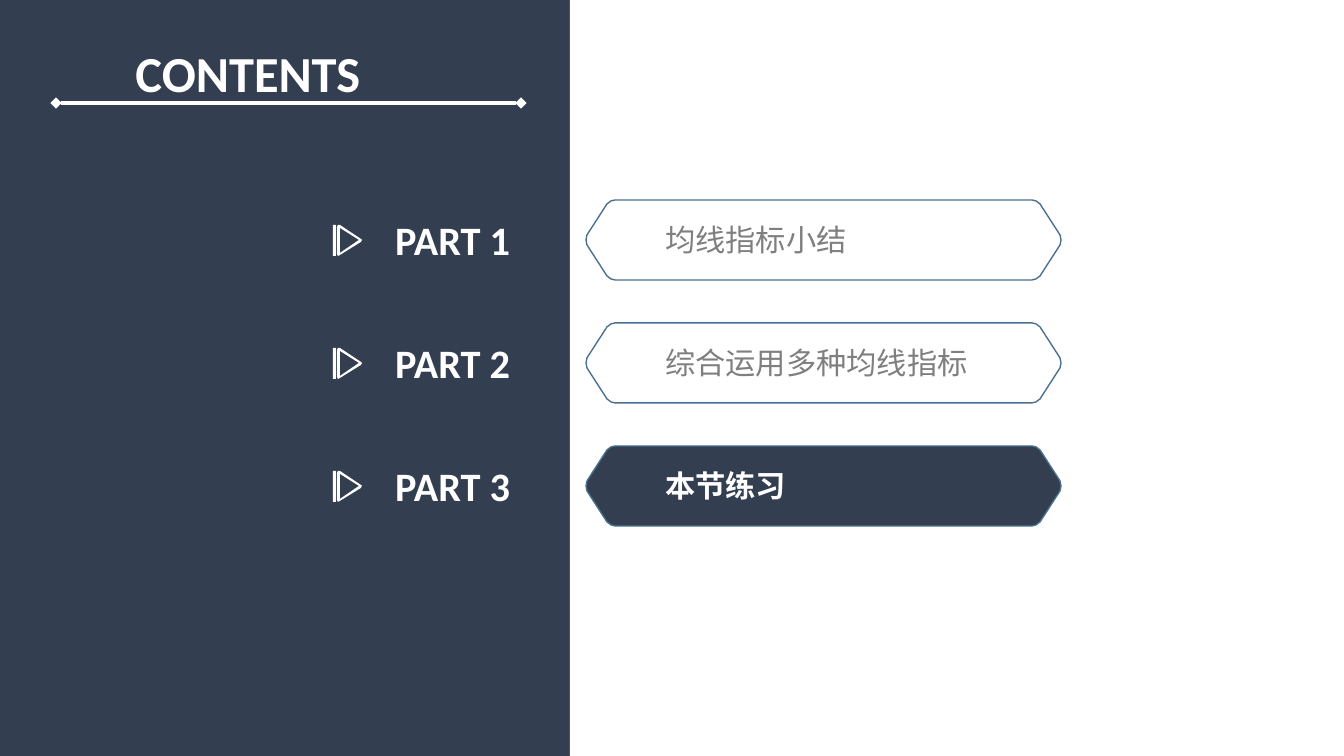
from dataclasses import dataclass

from pptx import Presentation
from pptx.dml.color import RGBColor
from pptx.enum.shapes import MSO_CONNECTOR, MSO_SHAPE
from pptx.enum.text import MSO_ANCHOR, MSO_AUTO_SIZE, PP_ALIGN
from pptx.oxml.ns import qn
from pptx.util import Emu, Inches, Pt
from lxml.etree import SubElement

PX = Inches(1) / 134.4


@dataclass(frozen=True)
class Theme:
    navy: str = "333F50"
    white: str = "FFFFFF"
    outline: str = "4A7090"
    grey: str = "7F7F7F"
    latin: str = "Calibri"
    cjk: str = "Noto Sans CJK SC"
    title_size: float = 27
    part_size: float = 21.6
    label_size: float = 16.2


THEME = Theme()
ROW_TOP, ROW_PITCH = 200, 123
BADGE_LEFT, BADGE_WIDTH, BADGE_HEIGHT = 586, 475, 80
PARTS = [("PART 1", "均线指标小结"), ("PART 2", "综合运用多种均线指标"), ("PART 3", "本节练习")]
CURRENT = 2


def px(n):
    return Emu(round(n * PX))


def rgb(color):
    return RGBColor.from_string(color)


def place(sp, x, y, w, h):
    sp.left, sp.top, sp.width, sp.height = px(x), px(y), px(w), px(h)


def write(sp, text, *, size, color, font=THEME.latin, bold=False, wrap=True):
    tf = sp.text_frame
    tf.word_wrap = wrap
    tf.auto_size = MSO_AUTO_SIZE.SHAPE_TO_FIT_TEXT
    tf.vertical_anchor = MSO_ANCHOR.TOP
    p = tf.paragraphs[0]
    p.alignment = PP_ALIGN.LEFT
    r = p.add_run()
    r.text = text
    r.font.size, r.font.bold, r.font.name = Pt(size), bold, font
    r.font.color.rgb = rgb(color)
    SubElement(r.font._element, qn("a:ea"), typeface=font)


def add_text(s, text, x, y, w, h, **fmt):
    write(s.shapes.add_textbox(px(x), px(y), px(w), px(h)), text, **fmt)


def paint(sp, fill=None, line=None):
    sp.shadow.inherit = False
    if fill:
        sp.fill.solid()
        sp.fill.fore_color.rgb = rgb(fill)
    else:
        sp.fill.background()
    if line:
        sp.line.color.rgb = rgb(line)
        sp.line.width = Pt(0.75)
    else:
        sp.line.fill.background()


def add_outline(s, contours, x, y, **colors):
    start, *rest = contours[0]
    fb = s.shapes.build_freeform(*start, scale=PX)
    fb.add_line_segments(rest, close=True)
    for start, *rest in contours[1:]:
        fb.move_to(*start)
        fb.add_line_segments(rest, close=True)
    paint(fb.convert_to_shape(px(x), px(y)), **colors)


def add_badge(s, y, fill):
    corner = [(29, 0), (25, 1), (21, 4), (1, 35), (0, 40)]
    left = corner + [(x, BADGE_HEIGHT - y) for x, y in corner[-2::-1]]
    right = [(BADGE_WIDTH - x, y) for x, y in reversed(left)]
    add_outline(s, [left + right], BADGE_LEFT, y, fill=fill, line=THEME.outline)


def add_play_icon(s, x, y):
    bar = [(0, 0), (3, 0), (3, 31), (0, 31)]
    triangle = [(5, 0), (7, 0), (28, 14), (29, 15), (28, 17), (7, 30), (5, 31), (4, 29), (4, 2)]
    hole = [(26, 15), (7, 3), (7, 28)]
    add_outline(s, [bar, triangle, hole], x, y, fill=THEME.white)


def add_diamond_line(s, x1, x2, y):
    line = s.shapes.add_connector(MSO_CONNECTOR.STRAIGHT, px(x1), px(y), px(x2), px(y))
    line.line.color.rgb = rgb(THEME.white)
    line.line.width = Pt(2)
    ln = line.line._get_or_add_ln()
    for end in ("a:headEnd", "a:tailEnd"):
        SubElement(ln, qn(end), type="diamond")
    SubElement(line._element.spPr, qn("a:effectLst"))


def add_row(s, y, part, label, current):
    add_badge(s, y, THEME.navy if current else None)
    add_play_icon(s, 333, y + 25)
    add_text(s, part, 382, y + 9, 204, 62, size=THEME.part_size, color=THEME.white, bold=True)
    add_text(s, label, 652, y + 15, 333, 50, size=THEME.label_size, font=THEME.cjk,
             color=THEME.white if current else THEME.grey, bold=current, wrap=current)


def main():
    prs = Presentation()
    prs.slide_width, prs.slide_height = px(1344), px(756)
    s = prs.slides.add_slide(prs.slide_layouts[5])
    s.background.fill.solid()
    s.background.fill.fore_color.rgb = rgb(THEME.navy)

    panel = s.shapes.add_shape(MSO_SHAPE.RECTANGLE, px(570), px(0), px(774), px(756))
    paint(panel, fill=THEME.white)

    title = s.shapes.title
    place(title, 122, 35, 496, 75)
    write(title, "CONTENTS", size=THEME.title_size, color=THEME.white, bold=True)
    add_diamond_line(s, 56, 521, 103)

    for i, (part, label) in enumerate(PARTS):
        add_row(s, ROW_TOP + i * ROW_PITCH, part, label, i == CURRENT)

    prs.save("out.pptx")


if __name__ == "__main__":
    main()
